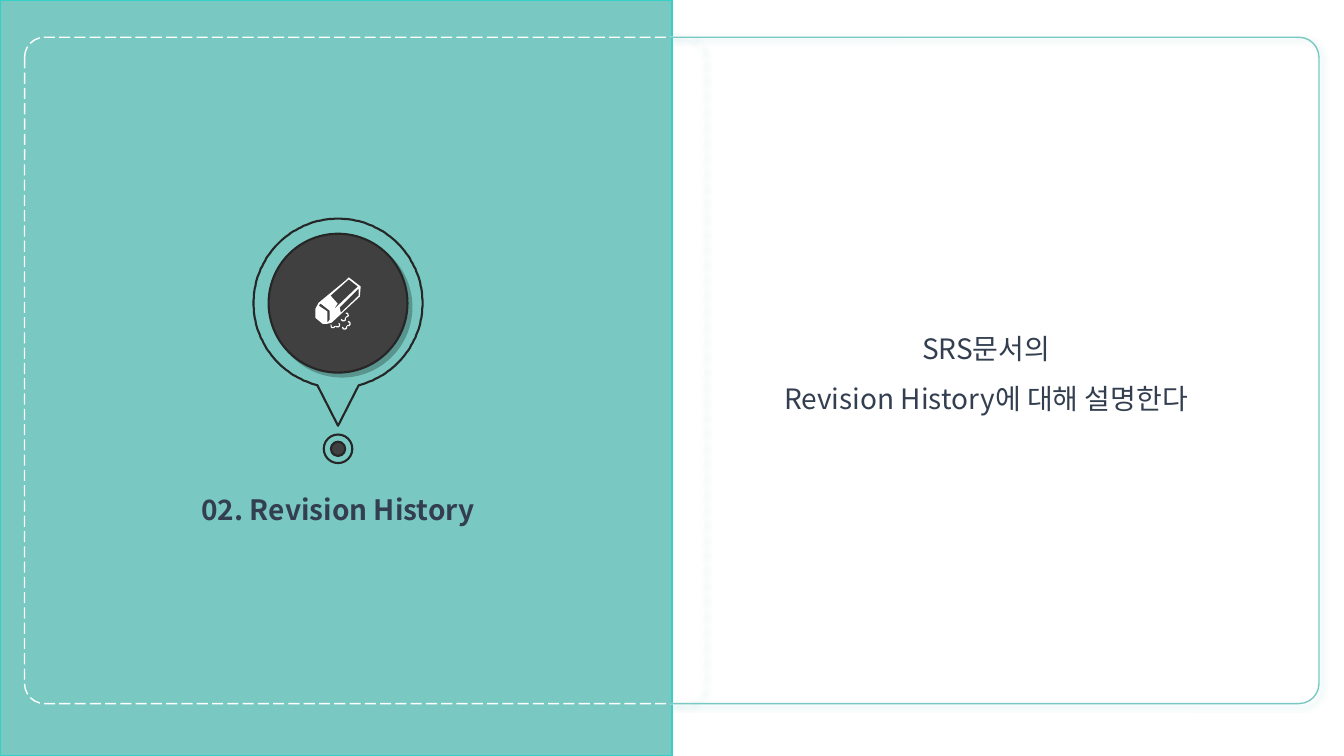
import math

from lxml import etree
from pptx import Presentation
from pptx import util as u
from pptx.dml.color import RGBColor
from pptx.enum import dml, shapes, text
from pptx.oxml import parse_xml
from pptx.oxml.ns import nsdecls, qn

COLOURS = {
    "teal": "79C9C2",
    "turquoise": "34D1C6",
    "white": "FFFFFF",
    "navy": "333F50",
    "charcoal": "404040",
    "ink": "262626",
    "black": "000000",
}
FONT = "Noto Sans CJK KR"
OUTLINE_UNIT = u.Cm(0.01)

# Corners in hundredths of a centimetre; the faces are cut out of the body
ERASER = {
    "body": [(84, 0), (114, 23), (112, 48), (41, 114), (30, 117), (18, 117),
             (0, 102), (0, 79), (8, 64), (76, 8)],
    "sleeve top": [(38, 46), (84, 5), (107, 23), (46, 81), (56, 66)],
    "sleeve side": [(109, 28), (109, 46), (64, 89), (61, 76)],
    "front edge": [(8, 71), (13, 66), (36, 84), (36, 107), (30, 114), (30, 86)],
}
# Centre x, centre y and turn in degrees of each crumb, in the same units
CRUMBS = [(50, 121, 80), (74, 100, 35), (78, 121, 45)]


def colour(name):
    return RGBColor.from_string(COLOURS[name])


def write(frame, lines, size=20, bold=False, ink="navy", spacing=1.5):
    for index, line in enumerate(lines):
        paragraph = frame.paragraphs[0] if index == 0 else frame.add_paragraph()
        paragraph.alignment = text.PP_ALIGN.CENTER
        paragraph.line_spacing = spacing
        run = paragraph.add_run()
        run.text = line
        run.font.size = u.Pt(size)
        run.font.bold = bold
        run.font.name = FONT
        run.font.color.rgb = colour(ink)
        etree.SubElement(run.font._element, qn("a:ea"), typeface=FONT)


def arc(x, y, radius, start, end, step):
    """Points on a circle around (x, y), angles in degrees."""
    angles = [math.radians(degrees) for degrees in range(start, end, step)]
    return [(x + radius * math.cos(angle), y + radius * math.sin(angle))
            for angle in angles]


def pin_contour(radius, tip):
    """Circle around (0, 0) with a gap at the bottom that runs to a tip."""
    return [(0, tip)] + arc(0, 0, radius, 76, -257, -2)


def crumb_contour(x, y, turn, lobe=6, outer=6.5, inner=3.5):
    """Stroke of a figure 3: out along two lobes and back inside them."""
    def lobes(radius):
        return (arc(0, -lobe, radius, -140, 66, 20)
                + arc(0, lobe, radius, -60, 141, 20))

    cosine, sine = math.cos(math.radians(turn)), math.sin(math.radians(turn))
    return [(x + across * cosine - along * sine,
             y + across * sine + along * cosine)
            for across, along in lobes(outer) + lobes(inner)[::-1]]


class SlideBuilder:
    def __init__(self, slide):
        self.slide = slide
        self.target = slide.shapes

    def start_group(self):
        """Send the elements that follow into a new group."""
        self.target = self.slide.shapes.add_group_shape().shapes

    def style(self, shape, fill=None, line=None, weight=1.5, dash=None):
        shape.shadow.inherit = False
        if fill:
            shape.fill.solid()
            shape.fill.fore_color.rgb = colour(fill)
        else:
            shape.fill.background()
        if line:
            shape.line.color.rgb = colour(line)
            shape.line.width = u.Pt(weight)
            shape.line.dash_style = dash
        else:
            shape.line.fill.background()
        return shape

    def box(self, kind, left, top, width, height, **style):
        shape = self.target.add_shape(
            kind, u.Cm(left), u.Cm(top), u.Cm(width), u.Cm(height))
        return self.style(shape, **style)

    def frame(self, left, width, **style):
        """Rounded frame with a soft teal shadow."""
        shape = self.box(shapes.MSO_SHAPE.ROUNDED_RECTANGLE,
                         left, 0.94, width, 16.79, weight=1, **style)
        shape.adjustments[0] = 0.03
        self.shadow(shape, "teal", opacity=40, blur=4, distance=3)

    def circle(self, x, y, radius, **style):
        return self.box(shapes.MSO_SHAPE.OVAL, x - radius, y - radius,
                        2 * radius, 2 * radius, line="ink", **style)

    def shadow(self, shape, name, opacity, blur, distance):
        effects = shape._element.spPr.find(qn("a:effectLst"))
        effects.append(parse_xml(
            f'<a:outerShdw {nsdecls("a")} blurRad="{u.Pt(blur)}" '
            f'dist="{u.Pt(distance)}" dir="2700000" algn="tl" '
            f'rotWithShape="0"><a:srgbClr val="{COLOURS[name]}">'
            f'<a:alpha val="{opacity * 1000}"/></a:srgbClr></a:outerShdw>'))

    def outline(self, contours, left, top, **style):
        """Draw closed contours as one freeform, the later ones as holes."""
        builder = self.target.build_freeform(*contours[0][0], scale=OUTLINE_UNIT)
        for contour in contours:
            if contour is not contours[0]:
                builder.move_to(*contour[0])
            builder.add_line_segments(contour[1:])
        shape = builder.convert_to_shape(u.Cm(left), u.Cm(top))
        return self.style(shape, **style)

    def label(self, left, top, width, height, lines, **style):
        box = self.target.add_textbox(
            u.Cm(left), u.Cm(top), u.Cm(width), u.Cm(height))
        box.text_frame.word_wrap = True
        box.text_frame.auto_size = text.MSO_AUTO_SIZE.SHAPE_TO_FIT_TEXT
        write(box.text_frame, lines, **style)


def draw_panels(page, height):
    page.box(shapes.MSO_SHAPE.RECTANGLE, 0, 0, 16.94, height,
             fill="teal", line="turquoise", weight=1)
    page.frame(0.62, 17.09, line="white", dash=dml.MSO_LINE.LONG_DASH)
    page.label(18.62, 7.8, 12.47, 2.72,
               ["SRS문서의", "Revision History에 대해 설명한다"])
    page.frame(16.48, 16.76, line="teal")


def draw_pin(page, x, y, dot_y):
    page.start_group()
    disc = page.circle(x, y, 1.75, fill="charcoal")
    page.shadow(disc, "black", opacity=25, blur=0, distance=4)
    page.outline([pin_contour(radius=213, tip=309)], x, y, line="ink")
    page.circle(x, dot_y, 0.36)
    page.circle(x, dot_y, 0.18, fill="charcoal")
    page.label(4.34, 11.86, 8.36, 1.42, ["02. Revision History"], bold=True)


def draw_eraser(page, left, top):
    page.start_group()
    page.outline(list(ERASER.values()), left, top, fill="white")
    for crumb in CRUMBS:
        page.outline([crumb_contour(*crumb)], left, top, fill="white")


def main():
    presentation = Presentation()
    width, height = 33.87, 19.05
    presentation.slide_width = u.Cm(width)
    presentation.slide_height = u.Cm(height)
    slide = presentation.slides.add_slide(presentation.slide_layouts[6])
    page = SlideBuilder(slide)

    draw_panels(page, height)
    draw_pin(page, x=8.52, y=7.64, dot_y=11.31)
    draw_eraser(page, left=7.95, top=6.99)

    presentation.save("out.pptx")


if __name__ == "__main__":
    main()
